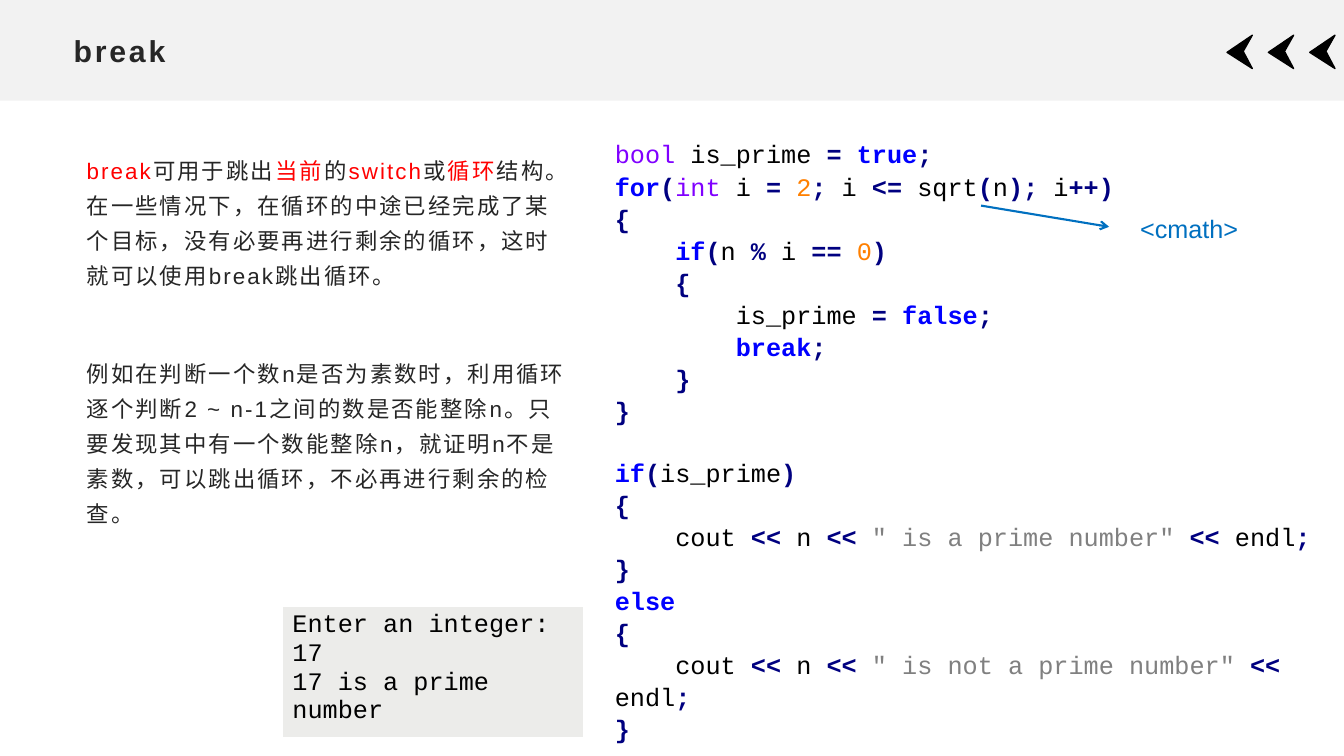
from dataclasses import dataclass
from itertools import groupby
from typing import Any

from lxml.etree import SubElement
from pptx import Presentation
from pptx.dml.color import RGBColor
from pptx.enum.shapes import MSO_CONNECTOR, MSO_SHAPE
from pptx.enum.text import MSO_ANCHOR, MSO_AUTO_SIZE, PP_ALIGN
from pptx.oxml.ns import qn
from pptx.util import Inches, Pt

COLORS = {
    "band": "F2F2F2", "black": "000000", "text": "262626", "red": "FF0000",
    "type": "8000FF", "key": "0000FF", "sign": "000080", "digit": "FF8000",
    "quote": "808080", "note": "0070C0", "panel": "ECECEA",
}
TITLE = {"name": "Arial", "size": Pt(21.6), "bold": True}
BODY = {"name": "Arial", "size": Pt(16), "bold": False}
NOTE = {"name": "Arial", "size": Pt(18), "bold": False}
MONO = {"name": "Courier New", "size": Pt(18), "bold": False}
BOLD = MONO | {"bold": True}
TYPES = {"bool", "int"}
KEYS = {"true", "false", "for", "if", "else", "break"}


@dataclass
class Span:
    text: str
    color: str = "text"


@dataclass
class Box:
    left: float
    top: float
    width: float
    height: float

    def place(self) -> tuple:
        return tuple(Inches(v) for v in (self.left, self.top, self.width, self.height))


INTRO = [
    Span("break", "red"), Span("可用于跳出"), Span("当前", "red"), Span("的"),
    Span("switch", "red"), Span("或"), Span("循环", "red"),
    Span("结构。在一些情况下，在循环的中途已经完成了某个目标，没有必要再进行剩余的循环，"
         "这时就可以使用break跳出循环。"),
]
SAMPLE = [
    Span("例如在判断一个数n是否为素数时，利用循环逐个判断2 ~ n-1之间的数是否能整除n。"
         "只要发现其中有一个数能整除n，就证明n不是素数，可以跳出循环，不必再进行剩余的检查。"),
]
SEARCH = """bool is_prime = true;
for(int i = 2; i <= sqrt(n); i++)
{
    if(n % i == 0)
    {
        is_prime = false;
        break;
    }
}"""
REPORT = """if(is_prime)
{
    cout << n << " is a prime number" << endl;
}
else
{
    cout << n << " is not a prime number" << endl;
}"""
OUTPUT = ["Enter an integer: 17", "17 is a prime number"]


def color(name: str) -> RGBColor:
    return RGBColor.from_string(COLORS[name])


def format(item: Any, values: dict) -> None:
    for name, value in values.items():
        setattr(item, name, value)


def write(para: Any, span: Span, font: dict, space: int = 0) -> None:
    run = para.add_run()
    run.text = span.text
    format(run.font, font)
    run.font.color.rgb = color(span.color)
    if space:
        run.font._element.set("spc", str(space))


def next_para(frame: Any, first: bool) -> Any:
    return frame.paragraphs[0] if first else frame.add_paragraph()


def paint(shape: Any, name: str) -> None:
    shape.shadow.inherit = False
    shape.fill.solid()
    shape.fill.fore_color.rgb = color(name)


def group(char: str) -> str:
    if char.isspace():
        return "space"
    return "word" if char.isalnum() or char == "_" else "sign"


def split_code(line: str) -> list[Span]:
    """Split a code line into coloured words, signs and quotes."""
    spans = []
    for i, part in enumerate(line.split('"')):
        if i % 2:
            spans.append(Span(f'"{part}"', "quote"))
            continue
        for kind, chars in groupby(part, group):
            word = "".join(chars)
            if kind == "sign":
                name = "sign"
            elif word in TYPES:
                name = "type"
            elif word in KEYS:
                name = "key"
            else:
                name = "digit" if word.isdigit() else "black"
            spans.append(Span(word, name))
    return spans


def add_text(slide: Any, box: Box) -> Any:
    frame = slide.shapes.add_textbox(*box.place()).text_frame
    frame.word_wrap = True
    return frame


def add_head(slide: Any) -> None:
    # Band behind the title
    band = slide.shapes.add_shape(MSO_SHAPE.RECTANGLE, *Box(0, 0, 13.33, 1).place())
    paint(band, "band")
    band.line.fill.background()
    band.element.getparent().insert(2, band.element)
    # Row of arrowheads
    for i in range(3):
        left = 12.17 + 0.41 * i
        points = [(left, 0.52), (left + 0.25, 0.35), (left + 0.16, 0.51)]
        build = slide.shapes.build_freeform(Inches(left + 0.25), Inches(0.68), scale=1.0)
        build.add_line_segments([(Inches(x), Inches(y)) for x, y in points])
        head = build.convert_to_shape()
        paint(head, "black")
        head.line.color.rgb = color("black")
        head.line.width = Pt(1)
    # Title
    title = slide.shapes.title
    title.left, title.top, title.width, title.height = Box(0.63, 0.26, 12.07, 0.48).place()
    format(title.text_frame, {"vertical_anchor": MSO_ANCHOR.MIDDLE,
                              "auto_size": MSO_AUTO_SIZE.NONE})
    para = title.text_frame.paragraphs[0]
    para.alignment = PP_ALIGN.LEFT
    write(para, Span("break"), TITLE, 200)


def add_body(slide: Any) -> None:
    body = slide.placeholders[1]
    body.left, body.top, body.width, body.height = Box(0.76, 1.43, 5.03, 3.9).place()
    frame = body.text_frame
    format(frame, {"vertical_anchor": MSO_ANCHOR.TOP, "auto_size": MSO_AUTO_SIZE.NONE})
    for i, (spans, gap) in enumerate([(INTRO, 45), (SAMPLE, 10)]):
        para = next_para(frame, i == 0)
        props = para._p.get_or_add_pPr()
        props.set("marL", "0")
        props.set("indent", "0")
        SubElement(props, qn("a:buNone"))
        format(para, {"line_spacing": 1.3, "space_before": Pt(0), "space_after": Pt(gap)})
        for span in spans:
            write(para, span, BODY, 150)


def add_code(slide: Any) -> None:
    frame = add_text(slide, Box(6, 1.31, 7.2, 5.55))
    for block in (SEARCH, REPORT):
        for i, line in enumerate(block.splitlines()):
            para = next_para(frame, block == SEARCH and i == 0)
            para.line_spacing = 1.06
            if block == REPORT and i == 0:
                para.space_before = Pt(21.6)
            for span in split_code(line):
                write(para, span, BOLD if span.color in ("key", "sign") else MONO)


def add_note(slide: Any) -> None:
    ends = [Inches(v) for v in (9.73, 2.04, 11, 2.25)]
    arrow = slide.shapes.add_connector(MSO_CONNECTOR.STRAIGHT, *ends)
    arrow.line.color.rgb = color("note")
    arrow.line.width = Pt(1.5)
    SubElement(arrow.line._get_or_add_ln(), qn("a:tailEnd"), type="arrow")
    SubElement(arrow._element.spPr, qn("a:effectLst"))
    frame = add_text(slide, Box(11.21, 2.07, 1.34, 0.44))
    write(frame.paragraphs[0], Span("<cmath>", "note"), NOTE)


def add_output(slide: Any) -> None:
    table = slide.shapes.add_table(1, 1, *Box(2.8, 6.02, 2.99, 0.77).place()).table
    cell = table.cell(0, 0)
    cell.fill.solid()
    cell.fill.fore_color.rgb = color("panel")
    for i, line in enumerate(OUTPUT):
        write(next_para(cell.text_frame, i == 0), Span(line, "black"), MONO)


def main() -> None:
    deck = Presentation()
    format(deck, {"slide_width": Inches(13.33), "slide_height": Inches(7.5)})
    slide = deck.slides.add_slide(deck.slide_layouts[1])
    for add in (add_head, add_body, add_code, add_note, add_output):
        add(slide)
    deck.save("out.pptx")


if __name__ == "__main__":
    main()
